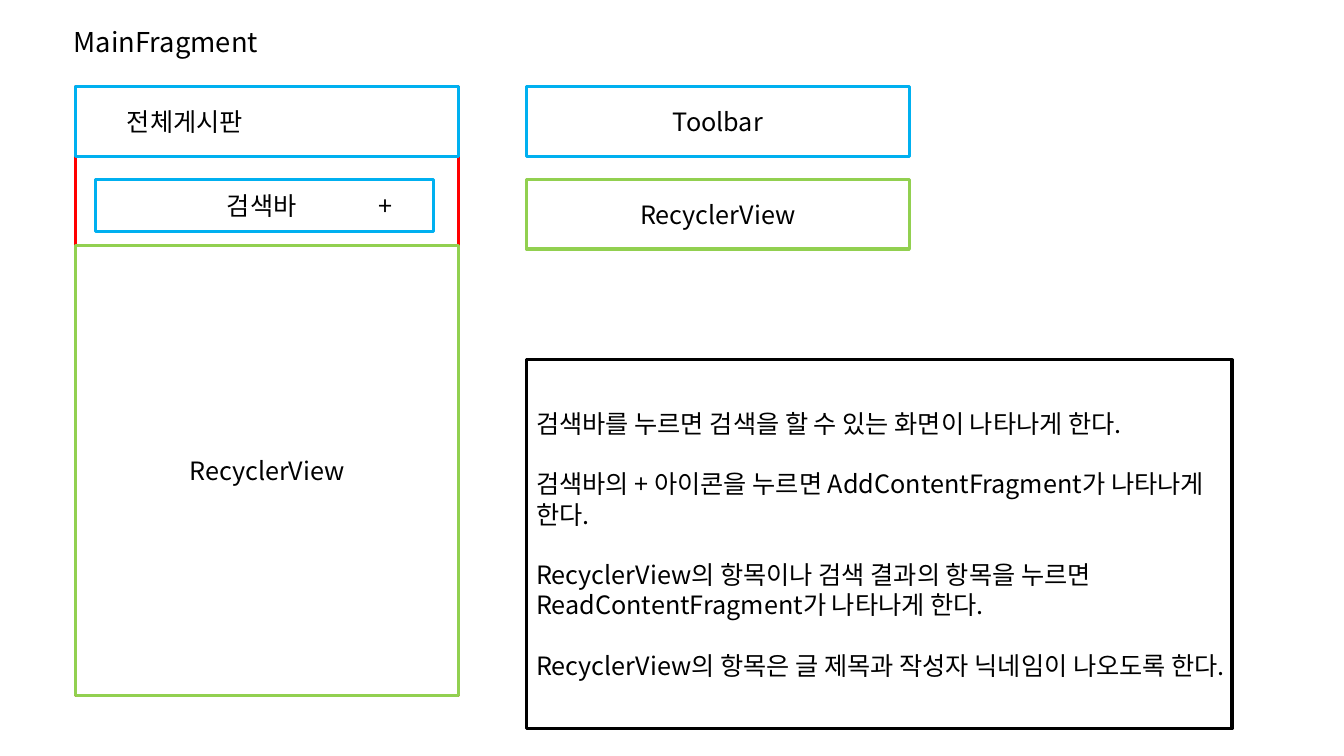
from pptx import Presentation
from pptx.dml.color import RGBColor
from pptx.enum.shapes import MSO_SHAPE
from pptx.enum.text import MSO_ANCHOR, MSO_AUTO_SIZE, PP_ALIGN
from pptx.oxml.ns import qn
from pptx.util import Inches, Pt

RECTANGLE = MSO_SHAPE.RECTANGLE
MIDDLE, BOTTOM = MSO_ANCHOR.MIDDLE, MSO_ANCHOR.BOTTOM
LEFT, CENTER = PP_ALIGN.LEFT, PP_ALIGN.CENTER

THEME = {
    "font": "Noto Sans CJK KR",
    "text": RGBColor(0x00, 0x00, 0x00),
    "frame": RGBColor(0xFF, 0x00, 0x00),
    "bar": RGBColor(0x00, 0xB0, 0xF0),
    "list": RGBColor(0x92, 0xD0, 0x50),
    "title_size": Pt(19.5),
    "body_size": Pt(18),
    "line_pitch": Pt(21.6),
    "outline": Pt(2.25),
}

# Grid: phone mock-up on the left, legend and notes on the right
PHONE, LEGEND = 0.75, 5.22
COLUMN, NOTES_WIDTH = 3.8, 7
TOP, BAR = 0.86, 0.69
SEARCH_TOP, LIST_TOP, NOTES_TOP = 1.78, 2.44, 3.57
PHONE_BOTTOM, NOTES_BOTTOM = 6.9, 7.23
SEARCH_LEFT, SEARCH_WIDTH, SEARCH_HEIGHT = 0.95, 3.35, 0.52
INSET = 0.1

NOTES = "\n".join([
    "검색바를 누르면 검색을 할 수 있는 화면이 나타나게 한다.",
    "검색바의 + 아이콘을 누르면 AddContentFragment가 나타나게 한다.",
    "RecyclerView의 항목이나 검색 결과의 항목을 누르면 ReadContentFragment가 나타나게 한다.",
    "RecyclerView의 항목은 글 제목과 작성자 닉네임이 나오도록 한다.",
])


def style_text(para, size):
    for span in para.runs:
        span.font.name = THEME["font"]
        span.font.size = size
        span.font.color.rgb = THEME["text"]
        east_asian = span.font._element.makeelement(qn("a:ea"), {"typeface": THEME["font"]})
        span.font._element.find(qn("a:latin")).addnext(east_asian)


def add_panel(page, bounds, color, text="", align=CENTER, indent=INSET, tab=None):
    box = page.shapes.add_shape(RECTANGLE, *[Inches(length) for length in bounds])
    box.shadow.inherit = False
    box.fill.background()
    box.line.color.rgb = color
    box.line.width = THEME["outline"]
    frame = box.text_frame
    frame.word_wrap = True
    frame.vertical_anchor = MIDDLE
    frame.margin_left = Inches(indent)
    frame.text = text
    for index, para in enumerate(frame.paragraphs):
        para.alignment = align
        para.line_spacing = THEME["line_pitch"]
        if index:
            para.space_before = THEME["line_pitch"]
        if tab:
            properties = para._p.get_or_add_pPr()
            stops = properties.makeelement(qn("a:tabLst"), {})
            stop = stops.makeelement(qn("a:tab"), {"pos": str(Inches(tab)), "algn": "l"})
            stops.append(stop)
            properties.append(stops)
        style_text(para, THEME["body_size"])


deck = Presentation()
deck.slide_width, deck.slide_height = Inches(13.33), Inches(7.5)
page = deck.slides.add_slide(deck.slide_layouts[5])

# Title
title = page.shapes.title
title.left, title.top = Inches(0.63), Inches(0.27)
title.width, title.height = Inches(8.31), Inches(0.35)
title.text_frame.text = "MainFragment"
title.text_frame.auto_size = MSO_AUTO_SIZE.NONE
title.text_frame.vertical_anchor = BOTTOM
heading = title.text_frame.paragraphs[0]
heading.alignment = LEFT
heading.line_spacing = 0.7
style_text(heading, THEME["title_size"])

# Phone screen
add_panel(page, (PHONE, TOP, COLUMN, PHONE_BOTTOM - TOP), THEME["frame"])
add_panel(page, (PHONE, TOP, COLUMN, BAR), THEME["bar"], "전체게시판", LEFT, indent=0.51)
add_panel(page, (SEARCH_LEFT, SEARCH_TOP, SEARCH_WIDTH, SEARCH_HEIGHT), THEME["bar"],
          "검색바\t+", LEFT, indent=1.3, tab=1.5)
add_panel(page, (PHONE, LIST_TOP, COLUMN, PHONE_BOTTOM - LIST_TOP), THEME["list"], "RecyclerView")

# Legend
for top, color, label in [(TOP, THEME["bar"], "Toolbar"),
                          (SEARCH_TOP, THEME["list"], "RecyclerView")]:
    add_panel(page, (LEGEND, top, COLUMN, BAR), color, label)

# Behaviour notes
add_panel(page, (LEGEND, NOTES_TOP, NOTES_WIDTH, NOTES_BOTTOM - NOTES_TOP),
          THEME["text"], NOTES, LEFT)

deck.save("out.pptx")
